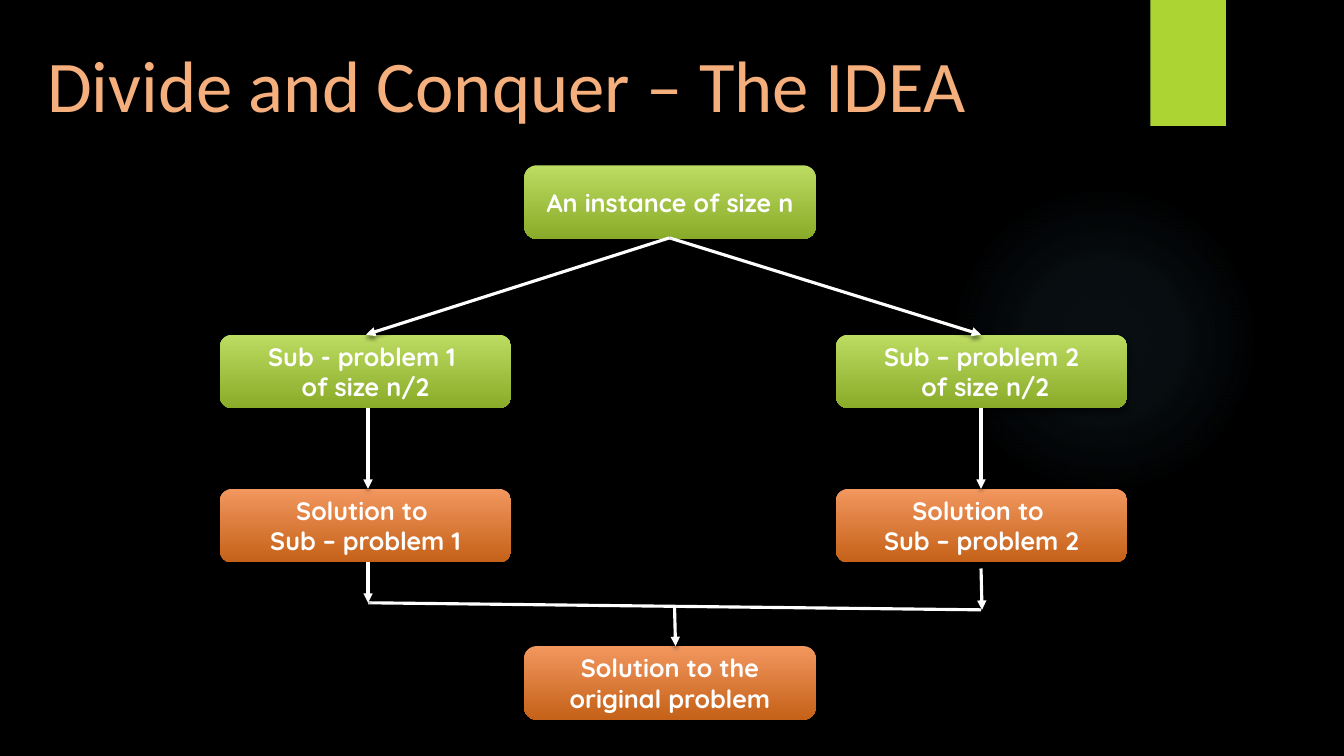
import pptx
import pptx.util
import pptx.dml.color
import pptx.enum.shapes
import pptx.enum.text
import lxml.etree

Inches = pptx.util.Inches
Pt = pptx.util.Pt
RGB = pptx.dml.color.RGBColor.from_string
KIND = pptx.enum.shapes.MSO_SHAPE
NS = "http://schemas.openxmlformats.org/drawingml/2006/main"
HUES = {"back": "000000", "text": "FFFFFF", "title": "F5AF7C",
        "tab": "ACD433", "glow": "7AC4F0",
        "green": ("BCDC62", "8AAA29"), "orange": ("F2975F", "C56118")}


def add_xml(node, text):
    part = lxml.etree.fromstring(text.replace(">", f' xmlns:a="{NS}">', 1))
    node.append(part)


def shade(item, alpha, blur, dist):
    add_xml(item._element.spPr,
            f'<a:effectLst ><a:outerShdw blurRad="{Pt(blur)}" dist="{Pt(dist)}" '
            f'dir="5400000" rotWithShape="0"><a:srgbClr val="{HUES["back"]}">'
            f'<a:alpha val="{alpha}000"/></a:srgbClr></a:outerShdw></a:effectLst>')


deck = pptx.Presentation()
deck.slide_width, deck.slide_height = Inches(13.33), Inches(7.5)
slide = deck.slides.add_slide(deck.slide_layouts[6])
slide.background.fill.solid()
slide.background.fill.fore_color.rgb = RGB(HUES["back"])
shapes = slide.shapes

# Soft glow: a radial gradient that fades out
glow = shapes.add_shape(KIND.OVAL, Inches(9.41), Inches(1.83), Inches(3.08), Inches(3.08))
glow.line.fill.background()
glow.shadow.inherit = False
stops = "".join(f'<a:gs pos="{pos}000"><a:srgbClr val="{HUES["glow"]}">'
                f'<a:alpha val="{alpha}000"/></a:srgbClr></a:gs>'
                for pos, alpha in ((0, 7), (36, 6), (69, 0), (100, 0)))
props = glow._element.spPr
add_xml(props, f'<a:gradFill ><a:gsLst>{stops}</a:gsLst><a:path path="circle">'
               '<a:fillToRect l="50000" t="50000" r="50000" b="50000"/>'
               '</a:path></a:gradFill>')
props.insert(2, props[-1])

# Green tab at the top edge
tab = shapes.add_shape(KIND.RECTANGLE, Inches(11.41), 0, Inches(0.75), Inches(1.25))
tab.fill.solid()
tab.fill.fore_color.rgb = RGB(HUES["tab"])
tab.line.fill.background()
shade(tab, 45, 3, 2)

# Title
title = shapes.add_textbox(Inches(0.37), Inches(0.31), Inches(10.81), Inches(0.94))
title.text_frame.word_wrap = True
title.text_frame.margin_top = Inches(0.08)
title.text_frame.text = "Divide and Conquer – The IDEA"
font = title.text_frame.paragraphs[0].runs[0].font
for name, value in {"name": "Calibri", "size": Pt(52)}.items():
    setattr(font, name, value)
font.color.rgb = RGB(HUES["title"])

# Boxes of the tree
LEFT, MID, RIGHT = 2.18, 5.2, 8.29
boxes = [
    (MID, 1.64, "green", "An instance of size n"),
    (LEFT, 3.32, "green", "Sub - problem 1 \nof size n/2"),
    (RIGHT, 3.32, "green", "Sub – problem 2\n of size n/2"),
    (LEFT, 4.85, "orange", "Solution to \nSub – problem 1"),
    (RIGHT, 4.85, "orange", "Solution to \nSub – problem 2"),
    (MID, 6.41, "orange", "Solution to the original problem"),
]
style = {"name": "Quicksand", "size": Pt(18), "bold": True}
for x, y, hue, words in boxes:
    box = shapes.add_shape(KIND.ROUNDED_RECTANGLE, Inches(x), Inches(y),
                           Inches(2.89), Inches(0.73))
    box.fill.gradient()
    box.fill.gradient_angle = 270
    for stop, tone in zip(box.fill.gradient_stops, HUES[hue]):
        stop.color.rgb = RGB(tone)
    box.line.fill.background()
    shade(box, 60, 5, 3)
    frame = box.text_frame
    frame.word_wrap = True
    frame.vertical_anchor = pptx.enum.text.MSO_ANCHOR.MIDDLE
    frame.text = words
    for para in frame.paragraphs:
        para.alignment = pptx.enum.text.PP_ALIGN.CENTER
        font = para.runs[0].font
        for name, value in style.items():
            setattr(font, name, value)
        font.color.rgb = RGB(HUES["text"])

# Lines and arrows: start, end, arrowhead
links = [
    (3.65, 4.05, 3.65, 4.85, True),
    (9.73, 4.05, 9.73, 4.85, True),
    (6.64, 2.36, 9.73, 3.32, True),
    (6.64, 2.36, 3.63, 3.32, True),
    (9.73, 5.64, 9.74, 6.05, True),
    (3.65, 5.98, 9.73, 6.05, False),
    (6.69, 6.01, 6.7, 6.41, True),
    (3.65, 5.58, 3.65, 5.98, True),
]
for *ends, arrow in links:
    link = shapes.add_connector(pptx.enum.shapes.MSO_CONNECTOR.STRAIGHT,
                                *[Inches(end) for end in ends])
    link.line.width = Pt(2.25)
    link.line.color.rgb = RGB(HUES["text"])
    if arrow:
        add_xml(link.line._get_or_add_ln(), '<a:tailEnd type="triangle"></a:tailEnd>')
    shade(link, 45, 3, 2)

deck.save("out.pptx")
